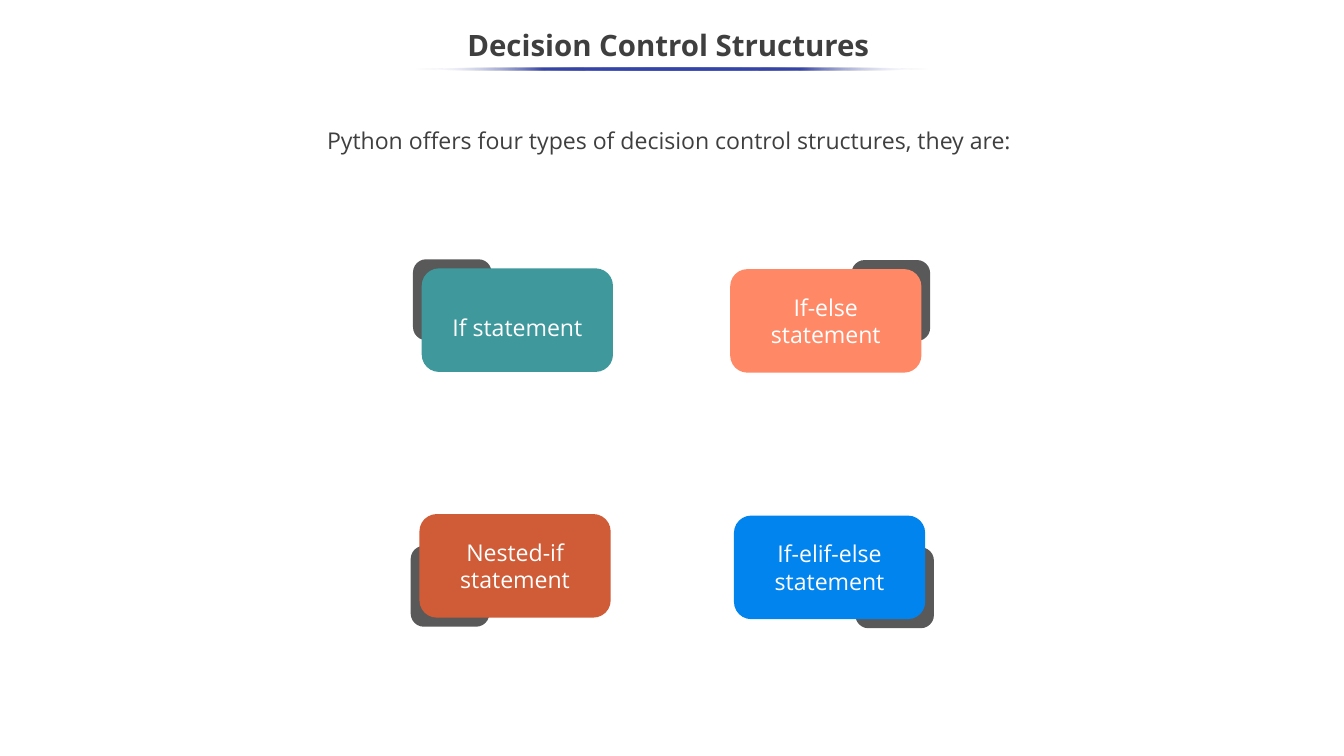
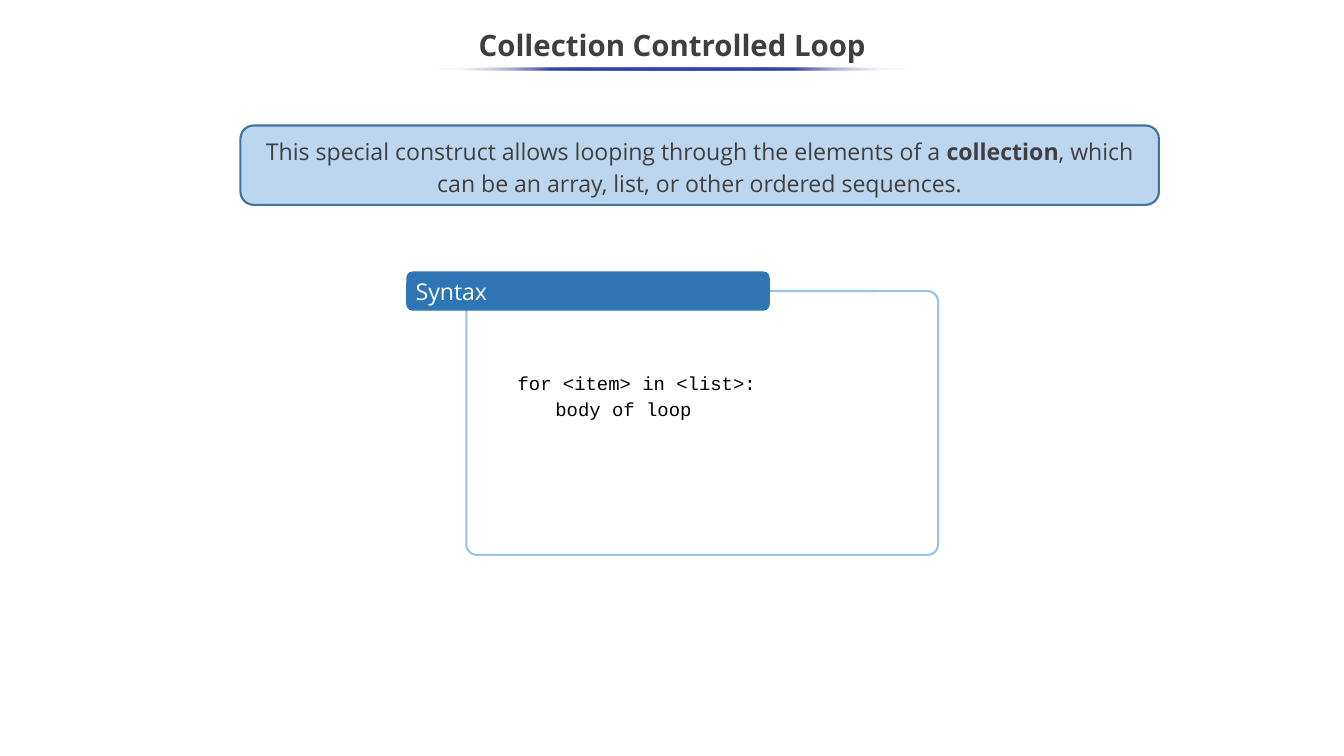
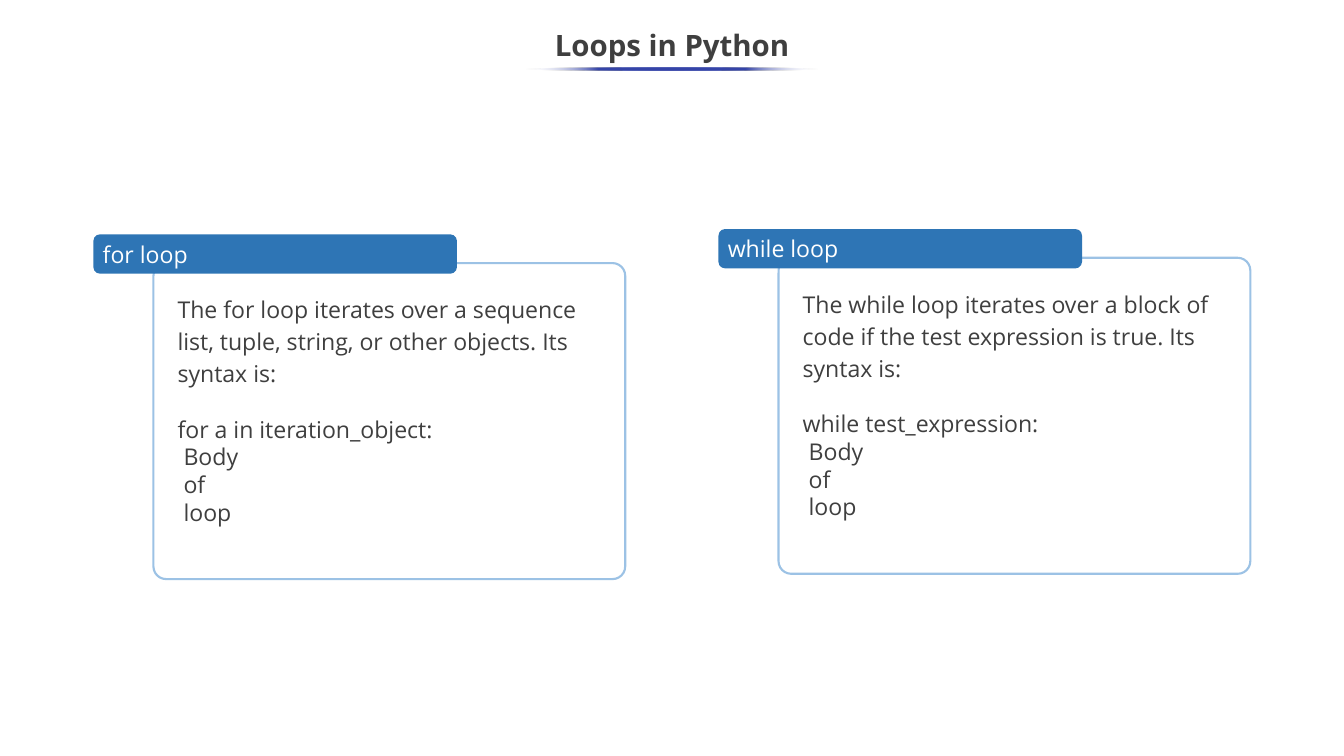
import pptx
import pptx.util
import pptx.dml.color
import pptx.enum.shapes
import pptx.enum.text
import pptx.oxml
import pptx.oxml.ns

WIDE, HIGH = 17.78, 10
COL, ROW = WIDE / 100, HIGH / 100
SANS, MONO = "Open Sans", "Courier New"
HUES = {
    "ink": "3F3F3F", "white": "FFFFFF", "black": "000000", "back": "595959",
    "teal": "3E989C", "peach": "FF8966", "rust": "CF5C36", "azure": "0284EF",
    "pale": "BBD6EE", "edge": "42719B", "frame": "9CC2E5", "tag": "2E75B5",
    "rule": "3645A9",
}
FADE = [(0, "white", 0), (25, "rule", 100), (50, "rule", 100),
        (75, "rule", 100), (100, "white", 0)]

TITLES = [("Decision Control Structures ", 38.19),
          ("Collection Controlled Loop", 36.11),
          ("Loops in Python", 21.82)]
INTRO = "Python offers four types of decision control structures, they are: "
CARD, BACK, HANG = (14.23, 13.7), (5.85, 10.7), (0.65, 1.2)
CARDS = [
    ("Nested-if statement", "rust", 31.21, 68, 0, 1, 1),
    ("If statement", "teal", 31.38, 35.5, 0, 0, 1.5),
    ("If-else statement", "peach", 54.33, 35.6, 1, 0, 1),
    ("If-elif-else statement", "azure", 54.61, 68.2, 1, 1, 1),
]
NOTE = ("This special construct allows looping through the elements of a "
        "**collection**, which can be an array, list, or other ordered sequences.")
CODE = ["for <item> in <list>:", "\tbody of loop"]
LOOPS = [
    ("while loop", 57.93, 34.1,
     "The while loop iterates over a block of code if the test expression "
     "is true. Its syntax is:", "while test_expression:"),
    ("for loop", 11.42, 34.8,
     "The for loop iterates over a sequence list, tuple, string, or other "
     "objects. Its syntax is:", "for a in iteration_object:"),
]
BODY = [" Body", " of", " loop"]


def rgb(name):
    return pptx.dml.color.RGBColor.from_string(HUES[name])


def area(x, y, w, h):
    return [pptx.util.Inches(v) for v in (x * COL, y * ROW, w * COL, h * ROW)]


def shape(page, place, fill=None, line=None, curve=0.167, kind="ROUNDED_RECTANGLE"):
    item = page.shapes.add_shape(
        getattr(pptx.enum.shapes.MSO_SHAPE, kind), *area(*place))
    item.shadow.inherit = False
    if kind == "ROUNDED_RECTANGLE":
        item.adjustments[0] = curve
    if fill:
        item.fill.solid()
        item.fill.fore_color.rgb = rgb(fill)
    else:
        item.fill.background()
    if line:
        item.line.color.rgb = rgb(line)
        item.line.width = pptx.util.Pt(2)
    else:
        item.line.fill.background()
    return item


def label(page, text, place=None, item=None, size=22, font=SANS, hue="ink",
          bold=False, align="LEFT", mid=False, space=1, gaps=None):
    item = item or page.shapes.add_textbox(*area(*place))
    frame = item.text_frame
    frame.word_wrap = True
    anchor = pptx.enum.text.MSO_ANCHOR
    frame.vertical_anchor = anchor.MIDDLE if mid else anchor.TOP
    lines = [text] if isinstance(text, str) else text
    for at, line in enumerate(lines):
        para = frame.paragraphs[0] if at == 0 else frame.add_paragraph()
        if "\t" in line:
            props = para._p.get_or_add_pPr()
            stops = pptx.oxml.parse_xml(
                f'<a:tabLst {pptx.oxml.ns.nsdecls("a")}>'
                '<a:tab pos="457200" algn="l"/></a:tabLst>')
            props.append(stops)
        para.alignment = getattr(pptx.enum.text.PP_ALIGN, align)
        para.line_spacing = space if at == 0 or not gaps else 1
        if gaps and at in gaps:
            para.space_before = pptx.util.Pt(gaps[at])
        for turn, part in enumerate(line.split("**")):
            run = para.add_run()
            run.text = part
            run.font.name = font
            run.font.size = pptx.util.Pt(size)
            run.font.bold = bold or turn % 2 == 1
            run.font.color.rgb = rgb(hue)
    return item


def rule(page, width):
    item = shape(page, (50 - width / 2, 8.9, width, 0.4), kind="OVAL")
    stops = "".join(
        f'<a:gs pos="{pos * 1000}"><a:srgbClr val="{HUES[hue]}">'
        f'<a:alpha val="{alpha * 1000}"/></a:srgbClr></a:gs>'
        for pos, hue, alpha in FADE)
    fill = pptx.oxml.parse_xml(
        f'<a:gradFill {pptx.oxml.ns.nsdecls("a")} rotWithShape="1">'
        f'<a:gsLst>{stops}</a:gsLst><a:lin ang="10800000" scaled="0"/></a:gradFill>')
    props = item._element.spPr
    props.replace(props.find(pptx.oxml.ns.qn("a:noFill")), fill)


def panel(page, name, x, y, high, lift):
    shape(page, (x, y, 35.1, high), line="frame", curve=0.04)
    tag = shape(page, (x - 4.47, y - lift, 27.05, 5.2), fill="tag")
    label(page, name, item=tag, hue="white", mid=True)


def types(page):
    label(page, INTRO, item=shape(page, (7.82, 15.2, 84.36, 15.6), curve=0.118),
          align="CENTER", space=1.15)
    for text, hue, x, y, right, low, space in CARDS:
        spot = [start + side * (full - part) + (2 * side - 1) * hang
                for start, side, full, part, hang
                in zip((x, y), (right, low), CARD, BACK, HANG)]
        shape(page, (*spot, *BACK), fill="back")
        label(page, text, item=shape(page, (x, y, *CARD), fill=hue),
              hue="white", align="CENTER", mid=True, space=space)


def syntax(page):
    note = shape(page, (17.89, 16.6, 68.34, 10.5), fill="pale", line="edge")
    label(page, NOTE, item=note, align="CENTER", mid=True, space=1.15)
    panel(page, "Syntax", 34.7, 38.5, 34.9, 2.6)
    label(page, CODE, place=(37.96, 48.2, 25.08, 11.5), size=18, font=MONO,
          hue="black", space=1.15)


def loops(page):
    for name, x, y, text, head in LOOPS:
        panel(page, name, x, y, 41.8, 3.8)
        label(page, [text, head, *BODY], place=(x + 1.24, y + 3.3, 33.86, 43.4),
              space=1.15, gaps={1: 26.4})


def main():
    deck = pptx.Presentation()
    deck.slide_width = pptx.util.Inches(WIDE)
    deck.slide_height = pptx.util.Inches(HIGH)
    for (title, width), draw in zip(TITLES, (types, syntax, loops)):
        page = deck.slides.add_slide(deck.slide_layouts[6])
        label(page, title, place=(0, 2.5, 100, 7.5), size=28, bold=True,
              align="CENTER", mid=True, space=0.9)
        draw(page)
        rule(page, width)
    deck.save("out.pptx")


if __name__ == "__main__":
    main()
